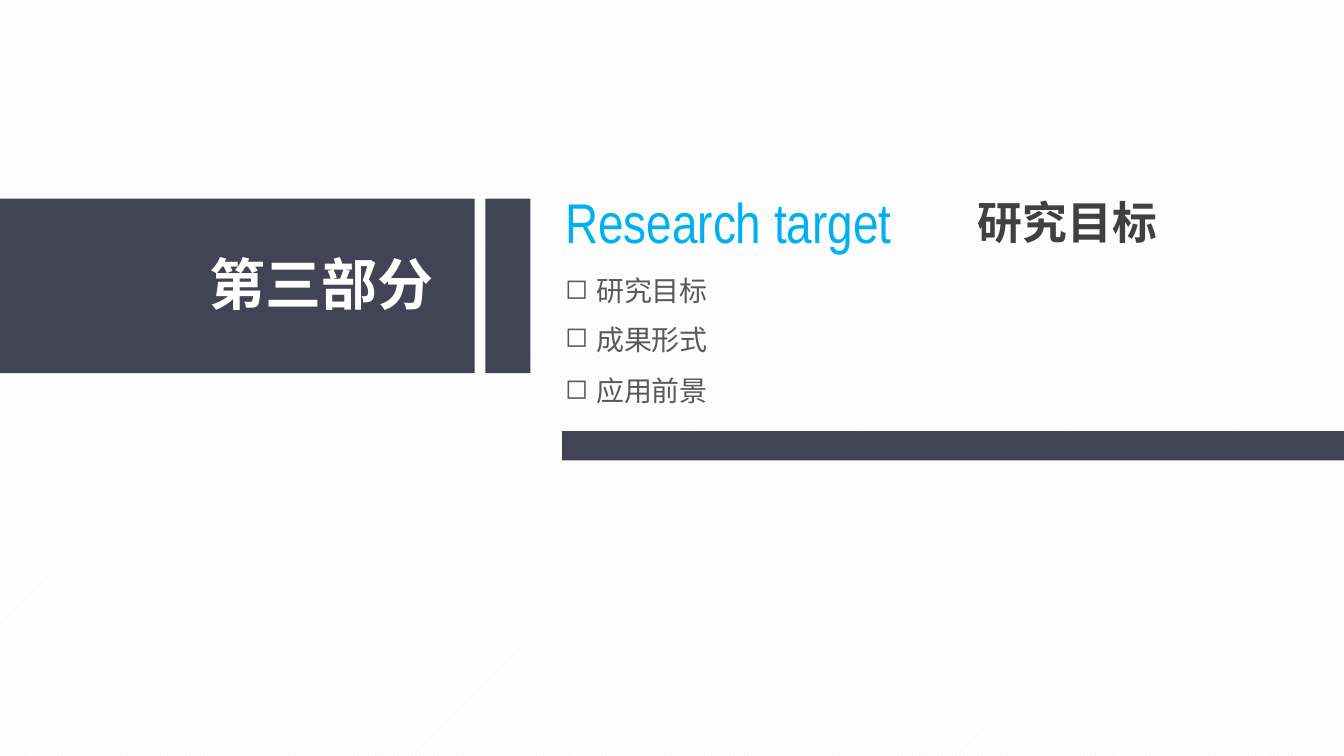
from lxml import etree
from pptx import Presentation
from pptx.dml.color import RGBColor
from pptx.enum.dml import MSO_PATTERN
from pptx.enum.shapes import MSO_SHAPE
from pptx.enum.text import MSO_ANCHOR, MSO_AUTO_SIZE, PP_ALIGN
from pptx.oxml.ns import qn
from pptx.util import Pt

RECTANGLE = MSO_SHAPE.RECTANGLE
DIAGONAL = MSO_PATTERN.LIGHT_UPWARD_DIAGONAL
TOP = MSO_ANCHOR.TOP
FIT_SHAPE = MSO_AUTO_SIZE.SHAPE_TO_FIT_TEXT
LEFT = PP_ALIGN.LEFT

COLORS = {
    "bar": "414455",
    "white": "FFFFFF",
    "hatch": "F2F2F2",
    "accent": "00B0F0",
    "heading": "404040",
    "body": "595959",
}
LATIN_FONT = "Arial Narrow"
CHINESE_FONT = "Noto Sans CJK SC"
BULLET_INDENT = Pt(16.5)


def color(name):
    return RGBColor.from_string(COLORS[name])


def set_background(slide):
    fill = slide.background.fill
    fill.patterned()
    fill.pattern = DIAGONAL
    fill.fore_color.rgb = color("hatch")
    fill.back_color.rgb = color("white")


def add_bar(slide, left, top, width, height):
    shape = slide.shapes.add_shape(RECTANGLE, Pt(left), Pt(top), Pt(width), Pt(height))
    shape.shadow.inherit = False
    shape.fill.solid()
    shape.fill.fore_color.rgb = color("bar")
    shape.line.fill.background()


def write_text(shape, text, size, color_name, font=CHINESE_FONT, bold=False):
    frame = shape.text_frame
    frame.margin_left = frame.margin_right = Pt(5.4)
    frame.margin_top = frame.margin_bottom = Pt(2.7)
    frame.vertical_anchor = TOP
    frame.word_wrap = False
    frame.auto_size = FIT_SHAPE
    paragraph = frame.paragraphs[0]
    paragraph.alignment = LEFT
    run = paragraph.add_run()
    run.text = text
    run.font.size = Pt(size)
    run.font.bold = bold
    run.font.name = font
    run.font.color.rgb = color(color_name)
    east_asian = etree.SubElement(run.font._element, qn("a:ea"))
    east_asian.set("typeface", font)
    return paragraph


def add_label(slide, left, top, width, height, text, size, color_name, bold=False):
    box = slide.shapes.add_textbox(Pt(left), Pt(top), Pt(width), Pt(height))
    return write_text(box, text, size, color_name, bold=bold)


def add_bullet(slide, top, text):
    paragraph = add_label(slide, 297.4, top, 88.5, 24, text, 15, "body")
    properties = paragraph._p.get_or_add_pPr()
    properties.set("marL", str(BULLET_INDENT))
    properties.set("indent", str(-BULLET_INDENT))
    etree.SubElement(properties, qn("a:buChar")).set("char", "◻")


def set_title(slide, text):
    title = slide.shapes.title
    title.left, title.top = Pt(297.4), Pt(98)
    title.width, title.height = Pt(210), Pt(41.8)
    write_text(title, text, 30, "accent", font=LATIN_FONT)


def main():
    presentation = Presentation()
    presentation.slide_width = Pt(720)
    presentation.slide_height = Pt(405)
    slide = presentation.slides.add_slide(presentation.slide_layouts[5])
    set_background(slide)

    set_title(slide, "Research target")
    add_label(slide, 518.4, 101.5, 108, 34.6, "研究目标", 24, "heading", bold=True)

    add_bar(slide, 0, 106.5, 254.3, 93.5)
    add_bar(slide, 260, 106.5, 24.2, 93.5)
    add_bar(slide, 301.2, 231, 418.8, 15.7)
    add_label(slide, 106.6, 131, 132.5, 41.8, "第三部分", 30, "white", bold=True)

    for top, text in ((144, "研究目标"), (170, "成果形式"), (197.5, "应用前景")):
        add_bullet(slide, top, text)

    presentation.save("out.pptx")


if __name__ == "__main__":
    main()
